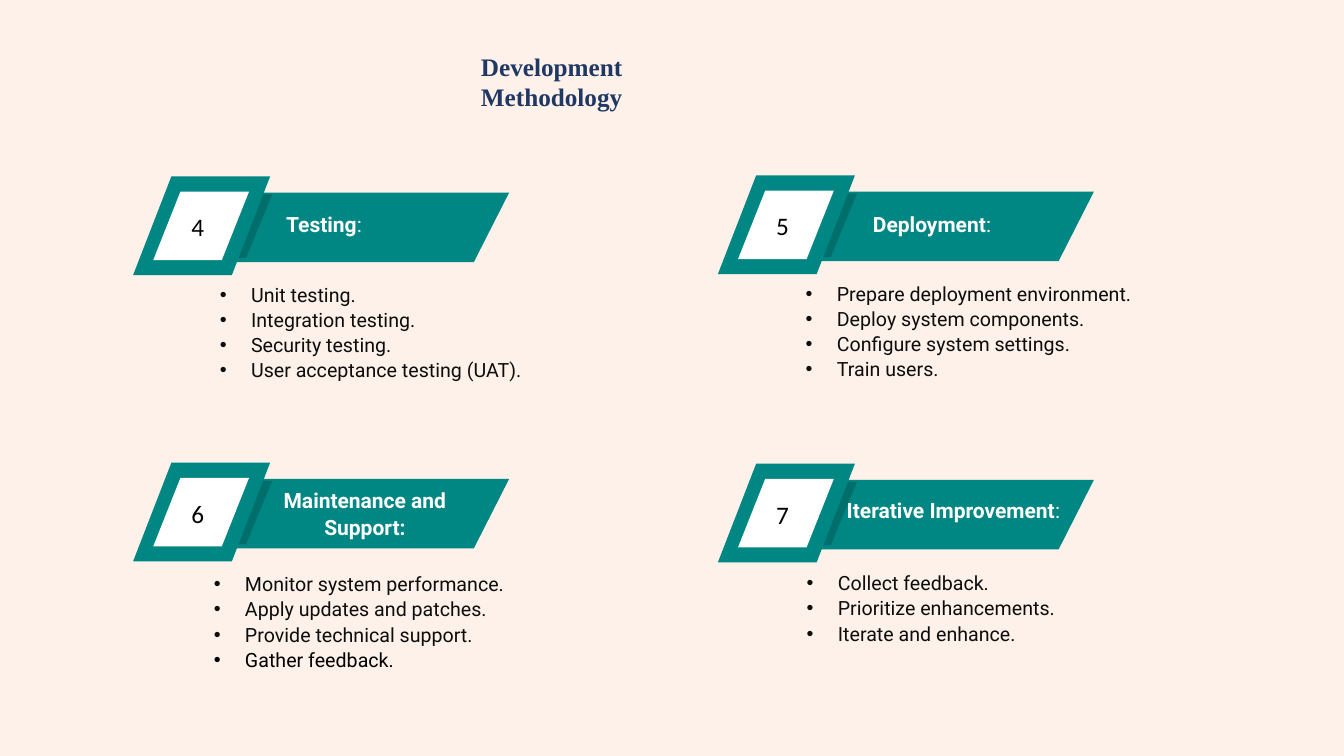
from lxml import etree
from pptx import Presentation
from pptx.dml.color import RGBColor
from pptx.enum.text import MSO_ANCHOR, MSO_AUTO_SIZE, PP_ALIGN
from pptx.oxml.ns import qn
from pptx.util import Inches, Pt

TOP = MSO_ANCHOR.TOP
NO_FIT = MSO_AUTO_SIZE.NONE
LEFT, CENTER, JUSTIFY = PP_ALIGN.LEFT, PP_ALIGN.CENTER, PP_ALIGN.JUSTIFY
COMPARISON_LAYOUT = 4

COLORS = {
    "paper": "FDF1E9",
    "navy": "203864",
    "teal": "008683",
    "shade": "006E6B",
    "white": "FFFFFF",
    "black": "000000",
    "ink": "0D0D0D",
}

# Each layer: offset from the banner's corner, size, slant, colour
BANNER_LAYERS = [
    (0.44, 0.16, 3.29, 0.69, 0.35, "teal"),
    (0.36, 0.18, 1.02, 0.63, 0.26, "shade"),
    (0, 0, 1.36, 0.98, 0.38, "teal"),
    (0.2, 0.15, 0.95, 0.68, 0.27, "white"),
]

STEPS = [
    {
        "number": "4", "corner": (1.32, 1.75),
        "heading": [[("Testing", True), (":", False)]],
        "heading_box": (2.74, 2.03, 2.44, 0.36), "heading_align": JUSTIFY,
        "tasks": ["Unit testing.", "Integration testing.", "Security testing.",
                  "User acceptance testing (UAT)."],
        "tasks_box": (1.58, 2.74, 3.88, 1.1), "last_color": "ink",
    },
    {
        "number": "5", "corner": (7.12, 1.74),
        "heading": [[("Deployment", True), (":", False)]],
        "heading_box": (8.56, 2.03, 2.44, 0.36), "heading_align": JUSTIFY,
        "tasks": ["Prepare deployment environment.", "Deploy system components.",
                  "Configure system settings.", "Train users."],
        "tasks_box": (7.39, 2.73, 4.29, 1.1), "last_color": "ink",
    },
    {
        "number": "6", "corner": (1.32, 4.59),
        "heading": [[("Maintenance and", True)], [("Support:", True)]],
        "heading_box": (2.4, 4.77, 2.44, 0.63), "heading_align": CENTER,
        "tasks": ["Monitor system performance.", "Apply updates and patches.",
                  "Provide technical support.", "Gather feedback."],
        "tasks_box": (1.52, 5.61, 3.82, 1.1), "last_color": "black",
    },
    {
        "number": "7", "corner": (7.12, 4.6),
        "heading": [[("Iterative Improvement", True), (":", False)]],
        "heading_box": (8.3, 4.87, 2.44, 0.36), "heading_align": JUSTIFY,
        "tasks": ["Collect feedback.", "Prioritize enhancements.",
                  "Iterate and enhance."],
        "tasks_box": (7.4, 5.6, 3.7, 0.85), "last_color": "ink",
    },
]


class MethodologySlide:
    """Hold the slide and its style, and draw its elements."""

    def __init__(self, deck):
        self.slide = deck.slides.add_slide(deck.slide_layouts[COMPARISON_LAYOUT])
        self.bodies = [holder for holder in self.slide.placeholders
                       if holder.placeholder_format.idx > 0]
        backdrop = self.slide.background.fill
        backdrop.solid()
        backdrop.fore_color.rgb = self.color("paper")

    def color(self, name):
        return RGBColor.from_string(COLORS[name])

    def prepare(self, holder, box):
        holder.left, holder.top, holder.width, holder.height = map(Inches, box)
        frame = holder.text_frame
        frame.word_wrap = True
        frame.auto_size = NO_FIT
        frame.vertical_anchor = TOP
        return frame

    def run(self, paragraph, text, size, color, font="Roboto", bold=False):
        run = paragraph.add_run()
        run.text = text
        run.font.name = font
        run.font.size = Pt(size)
        run.font.bold = bold
        run.font.color.rgb = self.color(color)

    def title(self, lines, box):
        paragraph = self.prepare(self.slide.shapes.title, box).paragraphs[0]
        paragraph.alignment = LEFT
        for index, line in enumerate(lines):
            if index:
                paragraph.add_line_break()
            self.run(paragraph, line, 18, "navy", "Times New Roman", True)

    def slanted(self, left, top, width, height, slant, color):
        corners = [(left + slant, top), (left + width, top),
                   (left + width - slant, top + height), (left, top + height)]
        start, *rest = [(Inches(x), Inches(y)) for x, y in corners]
        builder = self.slide.shapes.build_freeform(*start)
        builder.add_line_segments(rest, close=True)
        panel = builder.convert_to_shape()
        panel.shadow.inherit = False
        panel.fill.solid()
        panel.fill.fore_color.rgb = self.color(color)
        panel.line.fill.background()

    def text_box(self, box):
        return self.prepare(self.slide.shapes.add_textbox(0, 0, 0, 0), box)

    def banner(self, step):
        left, top = step["corner"]
        for dx, dy, width, height, slant, color in BANNER_LAYERS:
            self.slanted(left + dx, top + dy, width, height, slant, color)
        heading = self.text_box(step["heading_box"])
        for index, parts in enumerate(step["heading"]):
            paragraph = heading.add_paragraph() if index else heading.paragraphs[0]
            paragraph.alignment = step["heading_align"]
            paragraph.line_spacing = 1.07
            for text, bold in parts:
                self.run(paragraph, text, 15, "white", bold=bold)
        number = self.text_box((left + 0.48, top + 0.3, 0.2, 0.4))
        number.margin_right = 0
        self.run(number.paragraphs[0], step["number"], 18, "black", "Calibri")

    def task_list(self, holder, step):
        frame = self.prepare(holder, step["tasks_box"])
        last = len(step["tasks"]) - 1
        for index, task in enumerate(step["tasks"]):
            paragraph = frame.add_paragraph() if index else frame.paragraphs[0]
            paragraph.level = 1
            self.bullet(paragraph)
            paragraph.alignment = JUSTIFY
            paragraph.line_spacing = 1.07
            paragraph.space_before = Pt(0)
            color = step["last_color"] if index == last else "ink"
            self.run(paragraph, task, 14, color)

    def bullet(self, paragraph):
        properties = paragraph._p.get_or_add_pPr()
        properties.set("marL", str(Inches(0.81)))
        properties.set("indent", str(Inches(-0.31)))
        etree.SubElement(properties, qn("a:buFont"), typeface="Arial")
        etree.SubElement(properties, qn("a:buChar"), char="•")


def main():
    deck = Presentation()
    deck.slide_width, deck.slide_height = Inches(13.33), Inches(7.5)
    page = MethodologySlide(deck)
    page.title(["Development", "Methodology"], (4.67, 0.46, 3.03, 0.7))
    for holder, step in zip(page.bodies, STEPS):
        page.banner(step)
        page.task_list(holder, step)
    deck.save("out.pptx")


if __name__ == "__main__":
    main()
